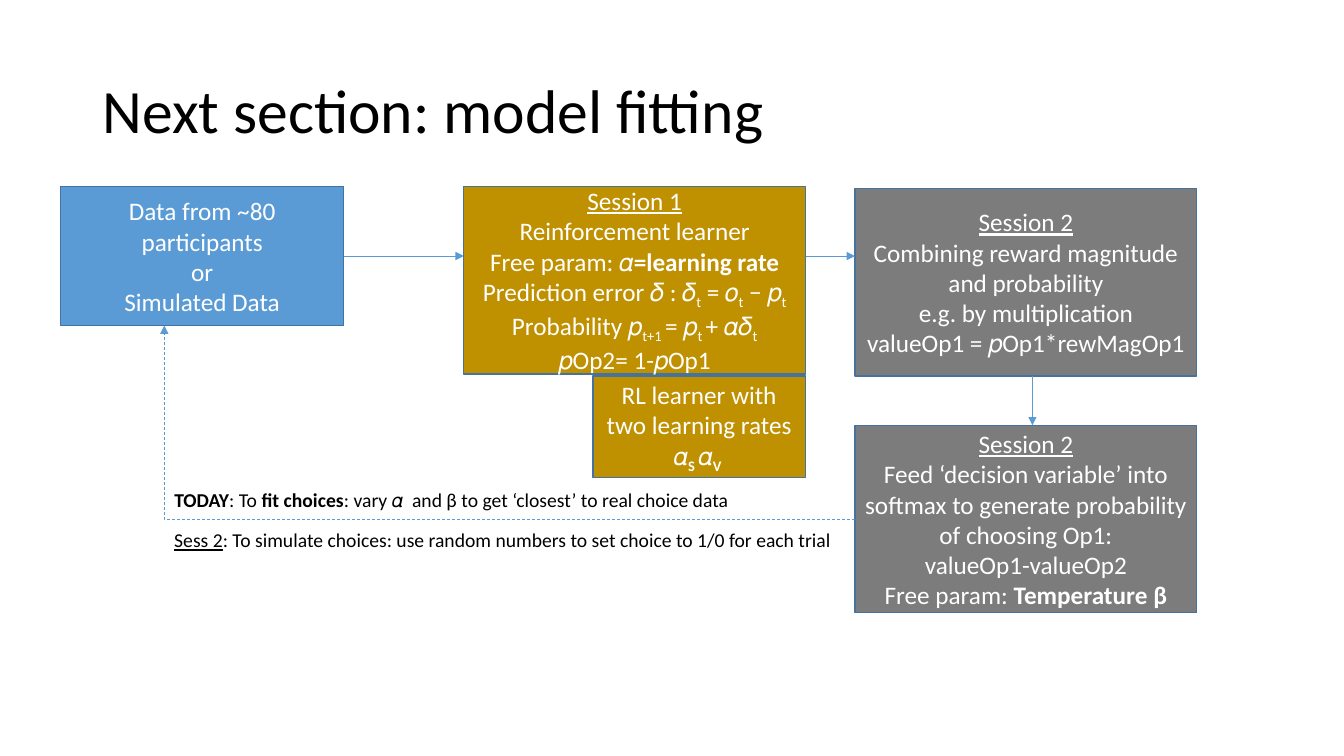
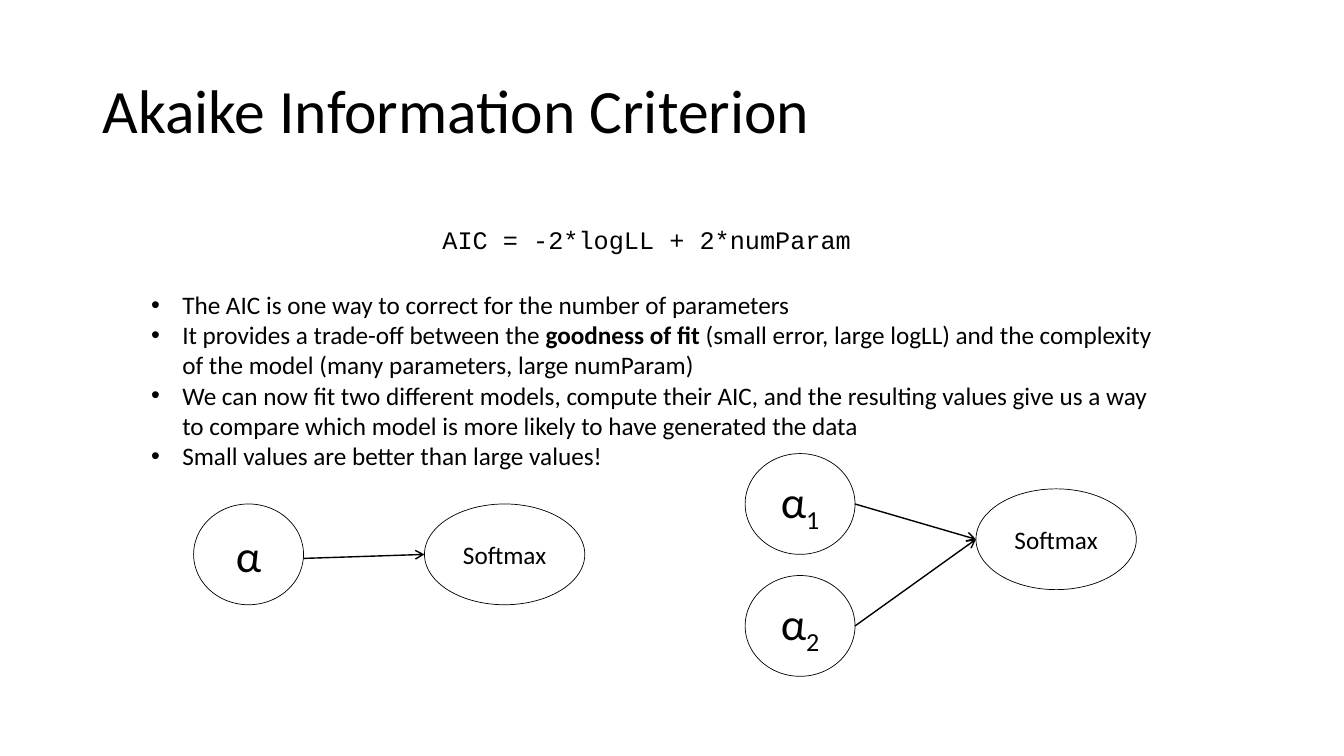
from pptx import Presentation
from pptx import util as u
from pptx.dml import color
from pptx.enum import dml, shapes, text
from pptx.oxml import ns
from lxml import etree

HUES = {"ink": "000000", "paper": "FFFFFF", "blue": "5B9BD5",
        "edge": "43739E", "gold": "BF9000", "gray": "7C7C7C"}
SANS, MONO = "Calibri", "Courier New"
KIND = shapes.MSO_SHAPE
CENTER = text.PP_ALIGN.CENTER


def rgb(name):
    return color.RGBColor.from_string(HUES[name])


def spot(*nums):
    return [u.Inches(round(n, 2)) for n in nums]


def sub(node, tag, **attrs):
    return etree.SubElement(node, ns.qn(tag), attrs)


# Shared text: a line is a list of (words, style); b bold, u underline, s subscript
def write(frame, lines, size, hue="ink", font=SANS, align=None, dot=False):
    for i, line in enumerate(lines):
        para = frame.paragraphs[0] if i == 0 else frame.add_paragraph()
        para.alignment = align
        if dot:
            props = para._p.get_or_add_pPr()
            props.set("marL", str(u.Inches(0.31)))
            props.set("indent", str(-u.Inches(0.31)))
            sub(props, "a:buFont", typeface="Arial")
            sub(props, "a:buChar", char="•")
        for words, style in line:
            run = para.add_run()
            run.text = words
            run.font.name, run.font.size = font, u.Pt(size)
            run.font.color.rgb = rgb(hue)
            if "b" in style:
                run.font.bold = True
            if "u" in style:
                run.font.underline = True
            if "s" in style:
                run._r.get_or_add_rPr().set("baseline", "-25000")


def label(slide, box, lines, size, wrap=False, **look):
    frame = slide.shapes.add_textbox(*spot(*box)).text_frame
    frame.word_wrap = wrap
    frame.auto_size = text.MSO_AUTO_SIZE.SHAPE_TO_FIT_TEXT
    write(frame, lines, size, **look)


def title(slide, words):
    frame = slide.shapes.add_textbox(*spot(0.92, 0.4, 11.5, 1.45)).text_frame
    frame.word_wrap = True
    frame.vertical_anchor = text.MSO_ANCHOR.MIDDLE
    write(frame, [[(words, "")]], 44)
    frame.paragraphs[0].line_spacing = 0.9


def node(slide, kind, box, lines, size=18, fill=None, edge="ink", width=0.5):
    shape = slide.shapes.add_shape(kind, *spot(*box))
    shape.shadow.inherit = False
    if fill:
        shape.fill.solid()
        shape.fill.fore_color.rgb = rgb(fill)
    else:
        shape.fill.background()
    shape.line.color.rgb = rgb(edge)
    shape.line.width = u.Pt(width)
    frame = shape.text_frame
    frame.word_wrap = True
    frame.vertical_anchor = text.MSO_ANCHOR.MIDDLE
    write(frame, lines, size, "paper" if fill else "ink", align=CENTER)
    return shape


def arrow(slide, start, end, hue="blue", width=0.5, tip="triangle", bent=False):
    kind = shapes.MSO_CONNECTOR.ELBOW if bent else shapes.MSO_CONNECTOR.STRAIGHT
    link = slide.shapes.add_connector(kind, *spot(*start, *end))
    link.line.color.rgb = rgb(hue)
    link.line.width = u.Pt(width)
    props = link._element.spPr
    if bent:
        link.line.dash_style = dml.MSO_LINE.DASH
        # The elbow turns only at the far end
        guides = props.find(ns.qn("a:prstGeom")).find(ns.qn("a:avLst"))
        sub(guides, "a:gd", name="adj1", fmla="val 100000")
    sub(link.line._get_or_add_ln(), "a:tailEnd", type=tip)
    sub(props, "a:effectLst")
    return link


# Flow chart of the sessions, from its top left corner
def flow(slide, x, y):
    wide, high = 3.39, 1.86
    learn, mix = x + 4, x + 7.88
    row, low = y + 0.69, y + 2.37

    def card(box, fill, lines):
        return node(slide, KIND.RECTANGLE, box, lines, fill=fill, edge="edge", width=1)

    data = card((x, y, 2.81, 1.38), "blue", [
        [("Data from ~80 participants", "")],
        [("or", "")],
        [("Simulated Data", "")]])
    card((learn, y, wide, high), "gold", [
        [("Session 1", "u")],
        [("Reinforcement learner", "")],
        [("Free param: ", ""), ("𝛼=learning rate", "b")],
        [("Prediction error 𝛿 : 𝛿", ""), ("t", "s"), (" = 𝑜", ""), ("t", "s"),
         (" − 𝑝", ""), ("t", "s")],
        [("Probability 𝑝", ""), ("t+1 ", "s"), ("= 𝑝", ""), ("t ", "s"),
         ("+ 𝛼𝛿", ""), ("t", "s")],
        [("𝑝Op2= 1-𝑝Op1", "")]])
    card((mix, y + 0.02, wide, high), "gray", [
        [("Session 2", "u")],
        [("Combining reward magnitude and probability", "")],
        [("e.g. by multiplication", "")],
        [("valueOp1 = 𝑝Op1*rewMagOp1", "")]])
    card((mix, low, wide, high), "gray", [
        [("Session 2", "u")],
        [("Feed ‘decision variable’ into softmax to generate probability "
          "of choosing Op1:", "")],
        [("valueOp1-valueOp2", "")],
        [("Free param: ", ""), ("Temperature β", "b")]])
    card((x + 5.28, y + 1.88, 2.11, 1.01), "gold", [
        [("RL learner with two learning rates", "")],
        [("𝛼", "b"), ("S ", "bs"), ("𝛼", "b"), ("V ", "bs")]])

    # Steps forward
    arrow(slide, (x + 2.81, row), (learn, row)).begin_connect(data, 3)
    arrow(slide, (learn + wide, row), (mix, row))
    arrow(slide, (mix + 1.76, y + 1.88), (mix + 1.76, low))

    # Loop back to the data
    back = x + 1.03
    arrow(slide, (mix, low + high / 2), (back, y + 1.38), bent=True)
    label(slide, (back, y + 3.34, 6.77, 0.34), [
        [("Sess 2", "u"), (": To simulate choices: use random numbers to set "
                           "choice to 1/0 for each trial", "")]], 14)
    label(slide, (back, y + 2.94, 5.78, 0.34), [
        [("TODAY", "b"), (": To ", ""), ("fit choices", "b"),
         (": vary 𝛼  and β to get ‘closest’ to real choice data", "")]], 14)


# Model sketch: rates on the left lead to one softmax
def model(slide, x, y, marks, drop=0, dip=0):
    wide, high, gap, step = 1.09, 1, 1.2, 1.21
    soft = x + wide + gap
    node(slide, KIND.OVAL, (soft, y + drop, 1.59, high), [[("Softmax", "")]])
    for i, mark in enumerate(marks):
        top = y + i * step
        line = [("α", "")] + ([(mark, "s")] if mark else [])
        node(slide, KIND.OVAL, (x, top, wide, high), [line], 32)
        arrow(slide, (x + wide, top + high / 2 + dip),
              (soft, y + drop + high / 2), "ink", 1, "arrow")


def points(slide, x, y):
    label(slide, (x, y, 10.2, 1.92), [
        [("The AIC is one way to correct for the number of parameters", "")],
        [("It provides a trade-off between the ", ""), ("goodness of fit", "b"),
         (" (small error, large logLL) and the complexity of the model "
          "(many parameters, large numParam)", "")],
        [("We can now fit two different models, compute their AIC, and the "
          "resulting values give us a way to compare which model is more "
          "likely to have generated the data", "")],
        [("Small values are better than large values!", "")]],
        18, wrap=True, dot=True)


def fitting(slide):
    title(slide, "Next section: model fitting")
    flow(slide, 0.6, 1.85)


def akaike(slide):
    title(slide, "Akaike Information Criterion")
    label(slide, (4.29, 2.18, 4.42, 0.4),
          [[("AIC = -2*logLL + 2*numParam", "")]], 18, font=MONO)
    points(slide, 1.4, 2.82)
    model(slide, 1.92, 5, [""], dip=0.04)
    model(slide, 7.39, 4.5, ["1", "2"], drop=0.35)


def main():
    deck = Presentation()
    deck.slide_width, deck.slide_height = spot(13.33, 7.5)
    for fill in (fitting, akaike):
        fill(deck.slides.add_slide(deck.slide_layouts[6]))
    deck.save("out.pptx")


if __name__ == "__main__":
    main()
